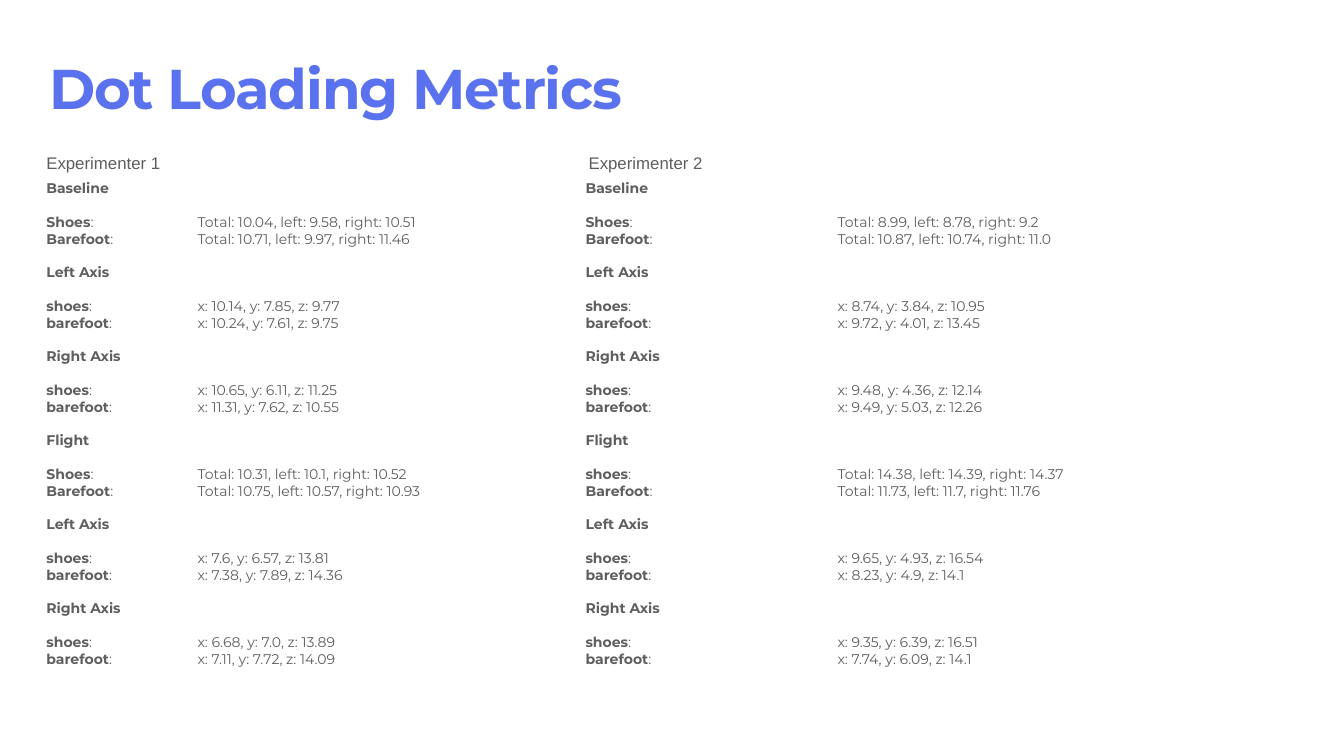
from lxml import etree
from pptx import Presentation
from pptx.dml.color import RGBColor
from pptx.enum.shapes import MSO_SHAPE
from pptx.enum.text import MSO_ANCHOR, MSO_AUTO_SIZE, PP_ALIGN
from pptx.oxml.ns import qn
from pptx.util import Inches, Pt

RECTANGLE = MSO_SHAPE.RECTANGLE
TOP, MIDDLE = MSO_ANCHOR.TOP, MSO_ANCHOR.MIDDLE
LEFT = PP_ALIGN.LEFT
BLUE = RGBColor(0x5A, 0x72, 0xED)
GREY = RGBColor(0x5E, 0x5E, 0x5E)
WHITE = RGBColor(0xFF, 0xFF, 0xFF)
TITLE_ONLY_LAYOUT = 5
LINE = Pt(24)

TITLE = "Dot Loading Metrics"
SECTIONS = ["Baseline", "Left Axis", "Right Axis", "Flight", "Left Axis", "Right Axis"]
# One pair of (label, values) rows for each section
EXPERIMENTERS = [
    {
        "name": "Experimenter 1", "name_left": 0.86,
        "left": 0.92, "width": 10.04, "tab": 3,
        "rows": [
            [("Shoes", "Total: 10.04, left: 9.58, right: 10.51"),
             ("Barefoot", "Total: 10.71, left: 9.97, right: 11.46")],
            [("shoes", "x: 10.14, y: 7.85, z: 9.77"),
             ("barefoot", "x: 10.24, y: 7.61, z: 9.75")],
            [("shoes", "x: 10.65, y: 6.11, z: 11.25"),
             ("barefoot", "x: 11.31, y: 7.62, z: 10.55")],
            [("Shoes", "Total: 10.31, left: 10.1, right: 10.52"),
             ("Barefoot", "Total: 10.75, left: 10.57, right: 10.93")],
            [("shoes", "x: 7.6, y: 6.57, z: 13.81"),
             ("barefoot", "x: 7.38, y: 7.89, z: 14.36")],
            [("shoes", "x: 6.68, y: 7.0, z: 13.89"),
             ("barefoot", "x: 7.11, y: 7.72, z: 14.09")],
        ],
    },
    {
        "name": "Experimenter 2", "name_left": 11.62,
        "left": 11.62, "width": 11.04, "tab": 5,
        "rows": [
            [("Shoes", "Total: 8.99, left: 8.78, right: 9.2"),
             ("Barefoot", "Total: 10.87, left: 10.74, right: 11.0")],
            [("shoes", "x: 8.74, y: 3.84, z: 10.95"),
             ("barefoot", "x: 9.72, y: 4.01, z: 13.45")],
            [("shoes", "x: 9.48, y: 4.36, z: 12.14"),
             ("barefoot", "x: 9.49, y: 5.03, z: 12.26")],
            [("shoes", "Total: 14.38, left: 14.39, right: 14.37"),
             ("Barefoot", "Total: 11.73, left: 11.7, right: 11.76")],
            [("shoes", "x: 9.65, y: 4.93, z: 16.54"),
             ("barefoot", "x: 8.23, y: 4.9, z: 14.1")],
            [("shoes", "x: 9.35, y: 6.39, z: 16.51"),
             ("barefoot", "x: 7.74, y: 6.09, z: 14.1")],
        ],
    },
]


def set_frame(sp, anchor=MIDDLE, inset=0.06):
    """Format the text frame of a shape and return it."""
    tf = sp.text_frame
    tf.word_wrap = True
    tf.auto_size = MSO_AUTO_SIZE.NONE
    tf.vertical_anchor = anchor
    tf.margin_left = tf.margin_right = Inches(inset)
    tf.margin_top = tf.margin_bottom = Inches(inset)
    return tf


def add_run(p, text, size=20, font="Montserrat", color=GREY, bold=False):
    r = p.add_run()
    r.text = text
    r.font.size = Pt(size)
    r.font.name = font
    r.font.color.rgb = color
    r.font.bold = bold
    return r


def add_paragraph(tf, before=0, line=1.0, tab=None):
    """Add a left-aligned paragraph, reusing an empty first one."""
    p = tf.paragraphs[0] if not tf.text else tf.add_paragraph()
    p.alignment = LEFT
    p.space_before = before
    p.line_spacing = line
    if tab:
        stops = etree.SubElement(p._p.get_or_add_pPr(), qn("a:tabLst"))
        etree.SubElement(stops, qn("a:tab"), pos=str(Inches(tab)), algn="l")
    return p


def add_title(slide):
    sp = slide.shapes.title
    sp.left, sp.top = Inches(0.92), Inches(1.01)
    sp.width, sp.height = Inches(25.5), Inches(1.82)
    p = add_paragraph(set_frame(sp, anchor=TOP))
    r = add_run(p, TITLE, size=80, color=BLUE, bold=True)
    r.font._element.set("spc", "-170")


def add_name(slide, text, left):
    sp = slide.shapes.add_textbox(Inches(left), Inches(2.96), Inches(6.1), Inches(0.52))
    add_run(add_paragraph(set_frame(sp)), text, size=24, font="Arial")


def add_metrics(slide, rows, left, width, tab):
    sp = slide.shapes.add_shape(
        RECTANGLE, Inches(left), Inches(3.52), Inches(width), Inches(9.76))
    sp.shadow.inherit = False
    sp.fill.solid()
    sp.fill.fore_color.rgb = WHITE
    sp.line.fill.background()
    tf = set_frame(sp, inset=0)
    for i, (section, pair) in enumerate(zip(SECTIONS, rows)):
        p = add_paragraph(tf, before=LINE if i else 0, line=LINE)
        add_run(p, section, bold=True)
        for j, (label, values) in enumerate(pair):
            p = add_paragraph(tf, before=0 if j else LINE, line=LINE, tab=tab)
            add_run(p, label, bold=True)
            add_run(p, f":\t{values}")


def main():
    prs = Presentation()
    prs.slide_width, prs.slide_height = Inches(26.67), Inches(15)
    slide = prs.slides.add_slide(prs.slide_layouts[TITLE_ONLY_LAYOUT])
    add_title(slide)
    for person in EXPERIMENTERS:
        add_metrics(slide, person["rows"], person["left"], person["width"], person["tab"])
        add_name(slide, person["name"], person["name_left"])
    prs.save("out.pptx")


if __name__ == "__main__":
    main()
